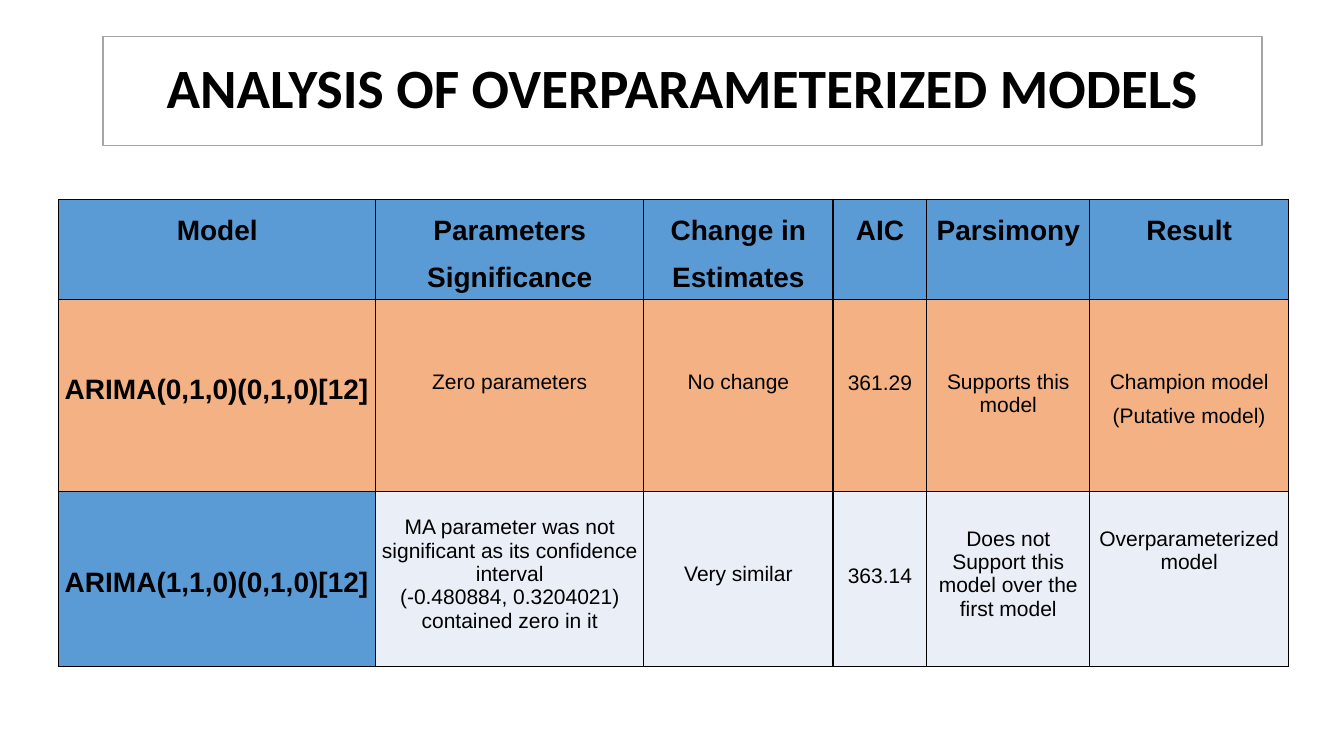
from lxml import etree
from pptx import Presentation
from pptx.dml.color import RGBColor
from pptx.enum.text import MSO_ANCHOR, PP_ALIGN
from pptx.oxml.ns import qn
from pptx.util import Pt

MIDDLE, CENTER, LEFT = MSO_ANCHOR.MIDDLE, PP_ALIGN.CENTER, PP_ALIGN.LEFT
COLORS = {"black": "000000", "white": "FFFFFF", "gray": "A5A5A5",
          "blue": "5B9BD5", "orange": "F4B183", "pale": "EAEFF7"}


def color(name):
    """Return the named colour."""
    return RGBColor.from_string(COLORS[name])


def border(cell):
    """Draw a thin black line on all four sides of a cell."""
    props = cell._tc.get_or_add_tcPr()
    for side in ("lnL", "lnR", "lnT", "lnB"):
        line = etree.SubElement(props, qn("a:" + side), w=str(Pt(1)))
        fill = etree.SubElement(line, qn("a:solidFill"))
        etree.SubElement(fill, qn("a:srgbClr"), val=COLORS["black"])


deck = Presentation()
deck.slide_width, deck.slide_height = Pt(960), Pt(540)
slide = deck.slides.add_slide(deck.slide_layouts[5])

# Title
title = slide.shapes.title
title.left, title.top, title.width, title.height = Pt(73.5), Pt(26), Pt(828), Pt(78)
title.fill.solid()
title.fill.fore_color.rgb = color("white")
title.line.color.rgb = color("gray")
title.line.width = Pt(1)
frame = title.text_frame
frame.text = "ANALYSIS OF OVERPARAMETERIZED MODELS"
frame.vertical_anchor = MIDDLE
para = frame.paragraphs[0]
para.alignment, para.line_spacing = CENTER, 0.9
font = para.runs[0].font
font.name, font.size, font.bold = "Calibri", Pt(39.6), True
font.color.rgb = color("black")

# Model table: each cell holds its text and its top margin in points
widths = [226.4, 191.5, 135.2, 67, 116.4, 142]
heights = [71.3, 137.4, 124.7]
heads = ["Model", "Parameters Significance", "Change in Estimates",
         "AIC", "Parsimony", "Result"]
rows = [
    [(head, 0) for head in heads],
    [("ARIMA(0,1,0)(0,1,0)[12]", 42.5), ("Zero parameters", 50.5),
     ("No change", 50.5), ("361.29", 51.7), ("Supports this model", 50.5),
     ("Champion model\n(Putative model)", 50.5)],
    [("ARIMA(1,1,0)(0,1,0)[12]", 42.5),
     ("MA parameter was not significant as its confidence interval\n"
      "(-0.480884, 0.3204021) contained zero in it", 17.2),
     ("Very similar", 50.5), ("363.14", 51.7),
     ("Does not Support this model over the first model", 25.2),
     ("Overparameterized model", 25.2)],
]
fills = ["blue", "orange", "pale"]

table = slide.shapes.add_table(len(rows), len(heads), Pt(42), Pt(142.6),
                               Pt(sum(widths)), Pt(sum(heights))).table
table.first_row = table.horz_banding = False
for column, width in zip(table.columns, widths):
    column.width = Pt(width)
for row, height in zip(table.rows, heights):
    row.height = Pt(height)

for r, row in enumerate(rows):
    for c, (text, top) in enumerate(row):
        cell = table.cell(r, c)
        border(cell)
        cell.fill.solid()
        cell.fill.fore_color.rgb = color("blue" if r == 2 and c == 0 else fills[r])
        cell.margin_left = cell.margin_right = Pt(4.2)
        cell.margin_top, cell.margin_bottom = Pt(top), 0
        cell.text_frame.text = text
        strong = r == 0 or c == 0
        tight = r == 2 and c == 1
        for para in cell.text_frame.paragraphs:
            para.alignment = LEFT if r and c == 0 else CENTER
            para.line_spacing = 1.5 if strong else 1.0
            para.space_after = Pt(0 if tight else 8)
            font = para.runs[0].font
            font.name, font.bold = "Arial", strong
            font.size = Pt(20 if strong else 15)
            font.color.rgb = color("black")
    if r == 0:
        # Two-word heads stand on two lines with even leading
        for c in (1, 2):
            table.cell(r, c).text_frame.word_wrap = True

deck.save("out.pptx")
